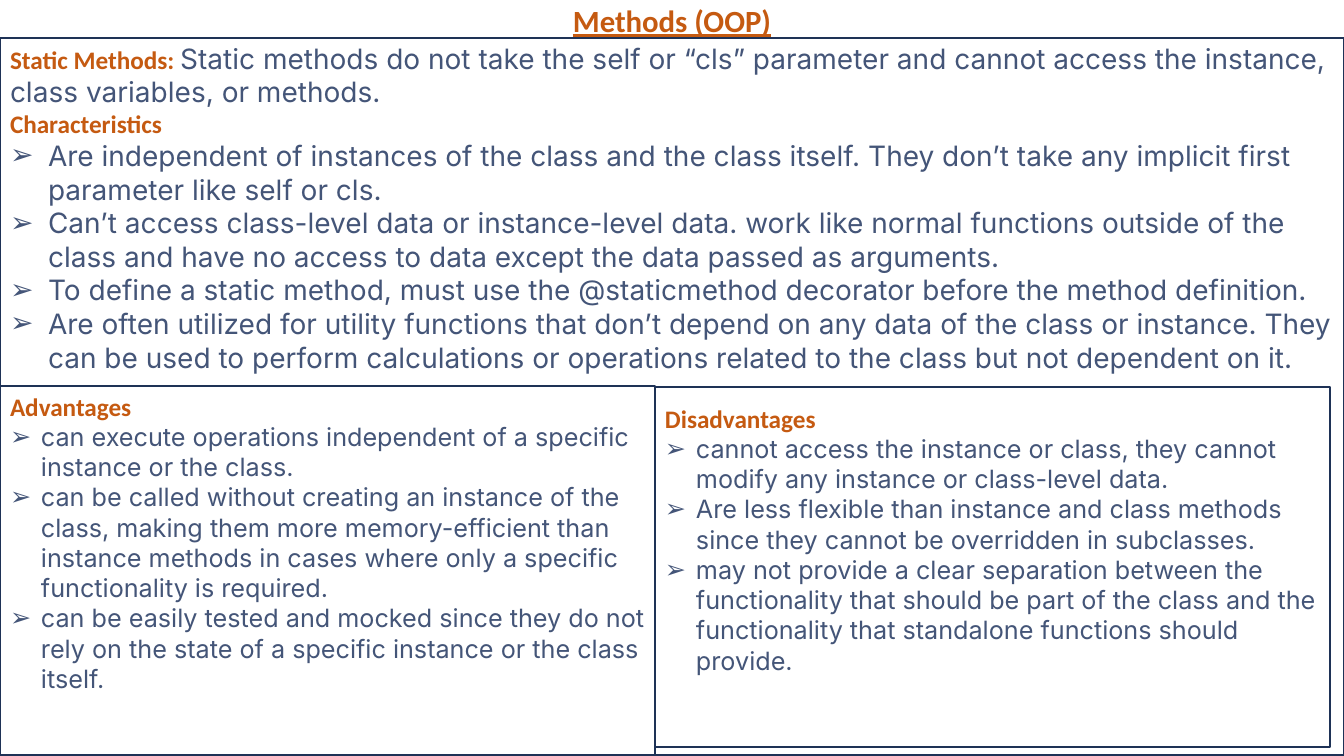
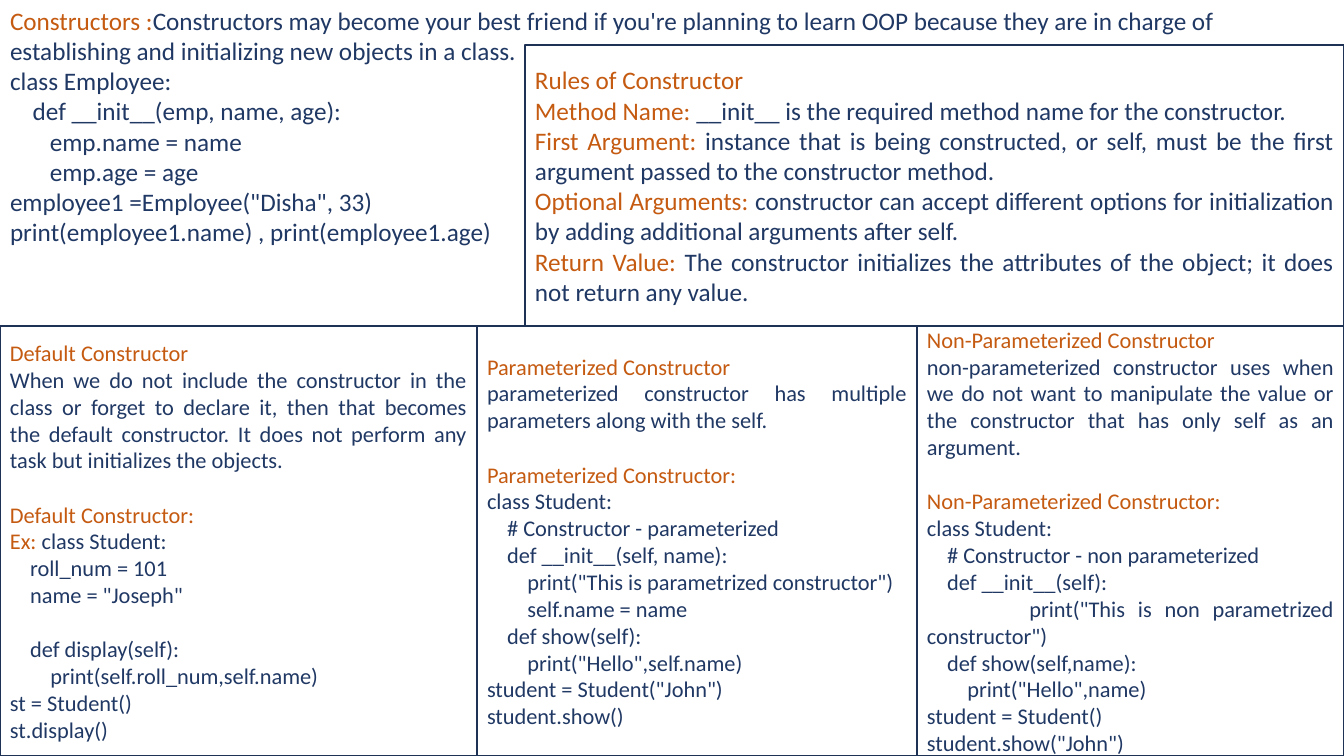
from dataclasses import dataclass

from lxml import etree
from pptx import Presentation
from pptx.dml.color import RGBColor
from pptx.enum.shapes import MSO_SHAPE
from pptx.enum.text import MSO_ANCHOR, MSO_AUTO_SIZE, PP_ALIGN
from pptx.oxml.ns import qn
from pptx.util import Emu, Pt

RECTANGLE = MSO_SHAPE.RECTANGLE
TOP, MIDDLE = MSO_ANCHOR.TOP, MSO_ANCHOR.MIDDLE
LEFT, CENTER, JUSTIFY = PP_ALIGN.LEFT, PP_ALIGN.CENTER, PP_ALIGN.JUSTIFY
NO_AUTOFIT = MSO_AUTO_SIZE.NONE

EMU_PER_PX = 914400 / 100.8
WIDTH, HEIGHT = 1344, 756
COMPARISON_LAYOUT, BLANK_LAYOUT = 4, 6
HEADING_FONT = "Calibri"
COLORS = {
    "paper": "FFFFFF",
    "outline": "1E3256",
    "heading": "C55A11",
    "slate": "445578",
    "navy": "203864",
}


def px(length):
    return Emu(round(length * EMU_PER_PX))


def color(name):
    return RGBColor.from_string(COLORS[name])


@dataclass
class Line:
    """One paragraph: an orange heading, then body text; gap is in points."""
    body: str = ""
    heading: str = ""
    bullet_indent: int = 0
    gap: float = 0
    align: int = None


@dataclass
class TextStyle:
    font: str
    color: str
    bold_headings: bool
    align: int


class Deck:
    def __init__(self):
        self.presentation = Presentation()
        self.presentation.slide_width = px(WIDTH)
        self.presentation.slide_height = px(HEIGHT)
        self.slide = None
        self.style = None

    def start_slide(self, layout, style):
        layouts = self.presentation.slide_layouts
        self.slide = self.presentation.slides.add_slide(layouts[layout])
        self.style = style

    def place(self, shape, box):
        shape.left, shape.top, shape.width, shape.height = map(px, box)

    def title(self, text, box, size):
        shape = self.slide.shapes.title
        self.place(shape, box)
        self.prepare_frame(shape.text_frame, TOP, 5)
        paragraph = shape.text_frame.paragraphs[0]
        paragraph.text = text
        paragraph.alignment = CENTER
        paragraph.line_spacing = 0.9
        run = paragraph.runs[0]
        self.format_run(run, HEADING_FONT, size, "heading", True)
        run.font.underline = True

    def list_panel(self, index, box, lines, size, top_inset):
        shape = self.slide.placeholders[index]
        self.place(shape, box)
        self.decorate(shape)
        self.fill_frame(shape.text_frame, lines, size, TOP, top_inset)

    def panel(self, box, lines, size):
        shape = self.slide.shapes.add_shape(RECTANGLE, *map(px, box))
        shape.shadow.inherit = False
        self.decorate(shape)
        self.fill_frame(shape.text_frame, lines, size, MIDDLE)

    def text(self, box, lines, size):
        shape = self.slide.shapes.add_textbox(*map(px, box))
        self.fill_frame(shape.text_frame, lines, size, TOP)

    def remove_placeholder(self, index):
        element = self.slide.placeholders[index].element
        element.getparent().remove(element)

    def decorate(self, shape):
        shape.fill.solid()
        shape.fill.fore_color.rgb = color("paper")
        shape.line.color.rgb = color("outline")
        shape.line.width = Pt(1)

    def prepare_frame(self, frame, anchor, top_inset):
        frame.word_wrap = True
        frame.auto_size = NO_AUTOFIT
        frame.vertical_anchor = anchor
        frame.margin_left = frame.margin_right = px(10)
        frame.margin_top, frame.margin_bottom = px(top_inset), px(5)

    def fill_frame(self, frame, lines, size, anchor, top_inset=5):
        self.prepare_frame(frame, anchor, top_inset)
        for number, line in enumerate(lines):
            paragraph = frame.add_paragraph() if number else frame.paragraphs[0]
            self.set_bullet(paragraph, line.bullet_indent)
            paragraph.alignment = self.style.align if line.align is None else line.align
            paragraph.space_before = Pt(line.gap)
            if line.heading:
                run = paragraph.add_run()
                run.text = line.heading
                self.format_run(run, HEADING_FONT, min(size, 18), "heading",
                                self.style.bold_headings)
            if line.body:
                run = paragraph.add_run()
                run.text = line.body
                self.format_run(run, self.style.font, size, self.style.color, False)

    def set_bullet(self, paragraph, indent):
        properties = paragraph._p.get_or_add_pPr()
        properties.set("marL", str(px(indent)))
        properties.set("indent", str(-px(indent)))
        if indent:
            etree.SubElement(properties, qn("a:buChar")).set("char", "➢")
        else:
            etree.SubElement(properties, qn("a:buNone"))

    def format_run(self, run, font, size, color_name, bold):
        run.font.name = font
        run.font.size = Pt(size)
        run.font.bold = bold
        run.font.color.rgb = color(color_name)


def bullets(indent, *texts):
    return [Line(text, bullet_indent=indent) for text in texts]


def code(source, line_height):
    """Turn code into lines; an empty row becomes a gap above the next one."""
    lines, gap = [], 0
    for row in source.strip("\n").split("\n"):
        if row:
            lines.append(Line(row, gap=gap))
        gap = 0 if row else line_height
    return lines


EMPLOYEE_CODE = """
class Employee:
    def __init__(emp, name, age):
       emp.name = name
       emp.age = age
employee1 =Employee("Disha", 33)
print(employee1.name) , print(employee1.age)
"""

DEFAULT_CODE = """
    roll_num = 101
    name = "Joseph"

    def display(self):
        print(self.roll_num,self.name)
st = Student()
st.display()
"""

PARAMETERIZED_CODE = """
class Student:
    # Constructor - parameterized
    def __init__(self, name):
        print("This is parametrized constructor")
        self.name = name
    def show(self):
        print("Hello",self.name)
student = Student("John")
student.show()
"""

NON_PARAMETERIZED_CODE = """
class Student:
    # Constructor - non parameterized
    def __init__(self):
        print("This is non parametrized constructor")
    def show(self,name):
        print("Hello",name)
student = Student()
student.show("John")
"""


def build_static_methods(deck):
    deck.start_slide(COMPARISON_LAYOUT, TextStyle("Inter", "slate", True, LEFT))
    deck.title("Methods (OOP)", (0, 1, WIDTH, 38), 22)
    deck.list_panel(1, (0, 38, WIDTH, 717), [
        Line("Static methods do not take the self or “cls” parameter and cannot access "
             "the instance, class variables, or methods.", "Static Methods: "),
        Line(heading="Characteristics"),
        *bullets(
            38,
            "Are independent of instances of the class and the class itself. They don’t "
            "take any implicit first parameter like self or cls.",
            "Can’t access class-level data or instance-level data. work like normal "
            "functions outside of the class and have no access to data except the data "
            "passed as arguments.",
            "To define a static method, must use the @staticmethod decorator before the "
            "method definition.",
            "Are often utilized for utility functions that don’t depend on any data of "
            "the class or instance. They can be used to perform calculations or "
            "operations related to the class but not dependent on it."),
    ], 20, 3)
    deck.list_panel(2, (0, 386, 655, 369), [
        Line(heading="Advantages"),
        *bullets(
            31,
            "can execute operations independent of a specific instance or the class.",
            "can be called without creating an instance of the class, making them more "
            "memory-efficient than instance methods in cases where only a specific "
            "functionality is required.",
            "can be easily tested and mocked since they do not rely on the state of a "
            "specific instance or the class itself."),
    ], 18, 5)
    deck.list_panel(4, (655, 387, 675, 360), [
        Line(heading="Disadvantages"),
        *bullets(
            31,
            "cannot access the instance or class, they cannot modify any instance or "
            "class-level data.",
            "Are less flexible than instance and class methods since they cannot be "
            "overridden in subclasses.",
            "may not provide a clear separation between the functionality that should "
            "be part of the class and the functionality that standalone functions "
            "should provide."),
    ], 18, 16)
    deck.remove_placeholder(3)


def build_constructors(deck):
    deck.start_slide(BLANK_LAYOUT, TextStyle("Calibri", "navy", False, JUSTIFY))
    line_height = 19.5
    kinds = [
        ("Default Constructor",
         "When we do not include the constructor in the class or forget to declare it, "
         "then that becomes the default constructor. It does not perform any task but "
         "initializes the objects.",
         [Line("class Student:", "Ex: "), *code(DEFAULT_CODE, line_height)]),
        ("Parameterized Constructor",
         "parameterized constructor has multiple parameters along with the self.",
         code(PARAMETERIZED_CODE, line_height)),
        ("Non-Parameterized Constructor",
         "non-parameterized constructor uses when we do not want to manipulate the "
         "value or the constructor that has only self as an argument.",
         code(NON_PARAMETERIZED_CODE, line_height)),
    ]
    edges = (0, 477, 917, WIDTH)
    for left, right, (name, description, example) in zip(edges, edges[1:], kinds):
        deck.panel((left, 326, right - left, 430), [
            Line(heading=name),
            Line(description),
            Line(heading=f"{name}:", gap=line_height),
            *example,
        ], 16)
    deck.text((0, 0, WIDTH, 254), [
        Line("Constructors may become your best friend if you're planning to learn OOP "
             "because they are in charge of establishing and initializing new objects "
             "in a class.", "Constructors :", align=LEFT),
        *code(EMPLOYEE_CODE, line_height),
    ], 18)
    deck.panel((525, 45, 819, 281), [
        Line(heading="Rules of Constructor"),
        Line("__init__ is the required method name for the constructor.",
             "Method Name: "),
        Line("instance that is being constructed, or self, must be the first argument "
             "passed to the constructor method.", "First Argument: "),
        Line("constructor can accept different options for initialization by adding "
             "additional arguments after self.", "Optional Arguments: "),
        Line("The constructor initializes the attributes of the object; it does not "
             "return any value.", "Return Value: "),
    ], 18)


def main():
    deck = Deck()
    build_static_methods(deck)
    build_constructors(deck)
    deck.presentation.save("out.pptx")


if __name__ == "__main__":
    main()
